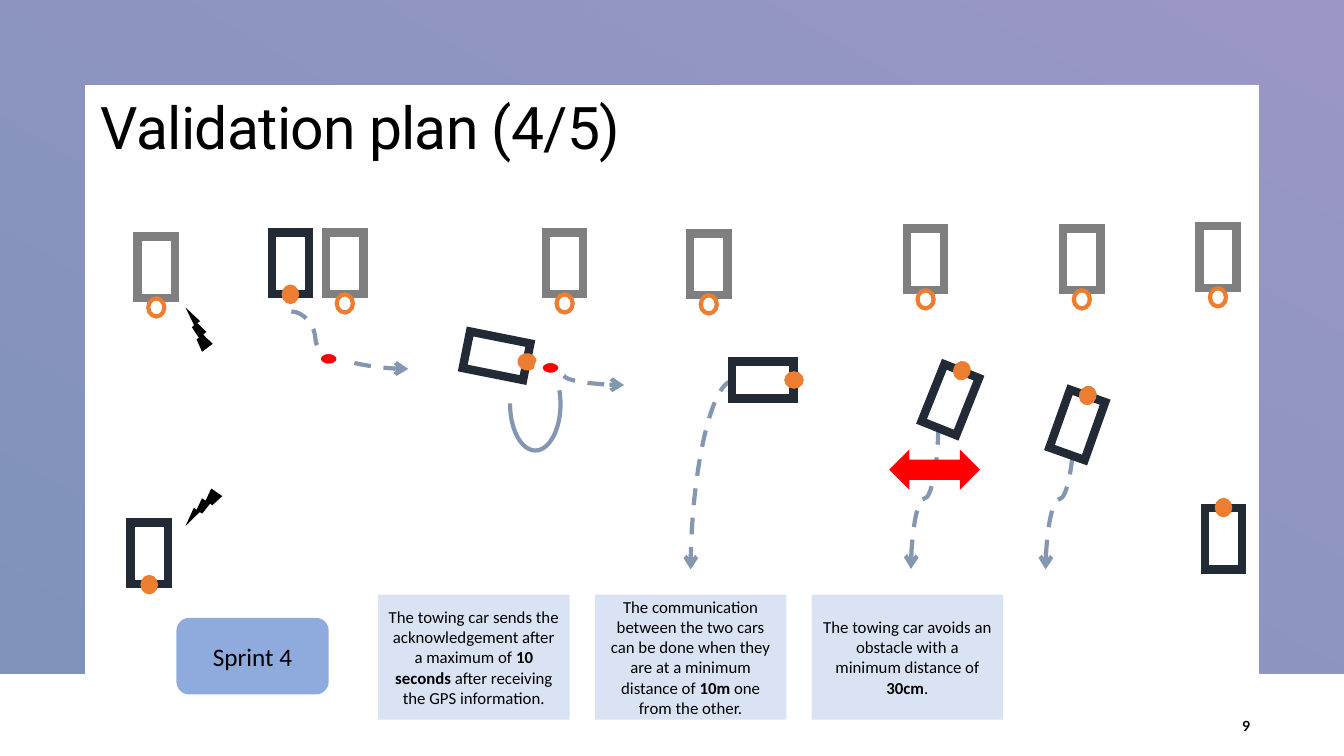
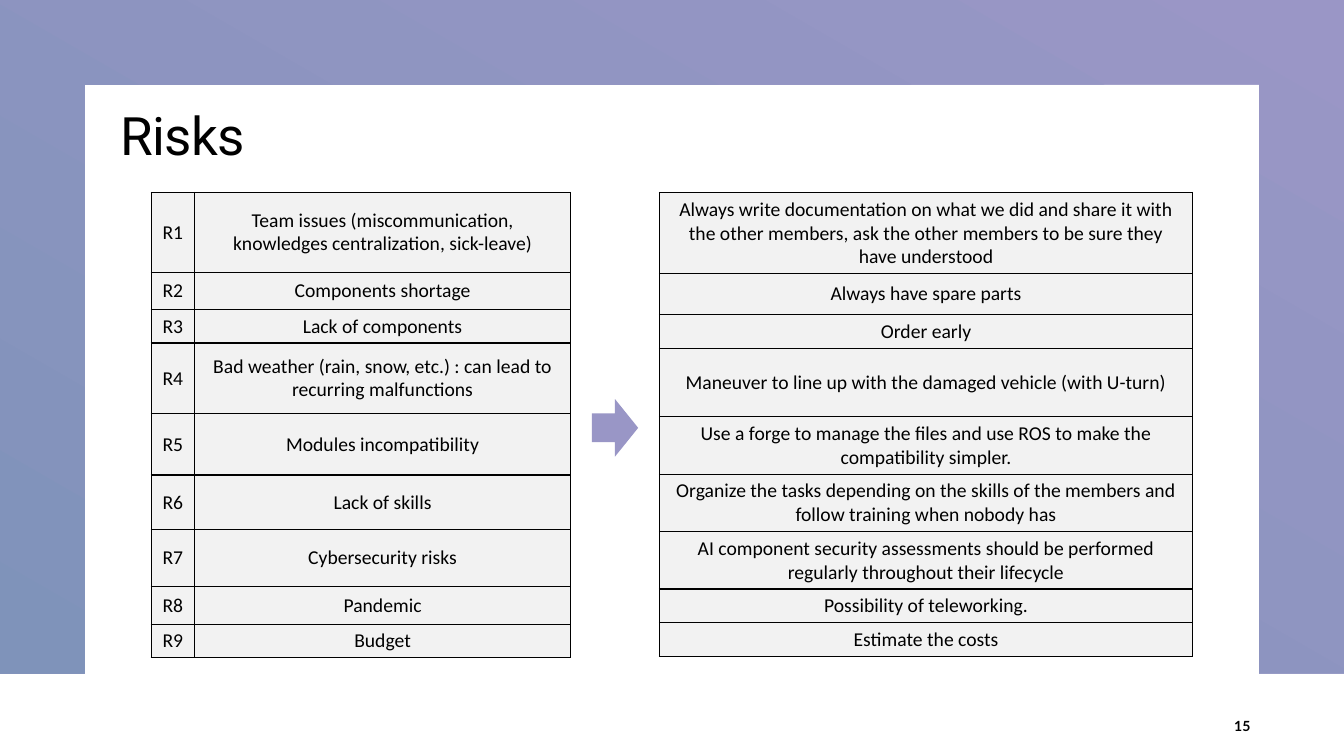
"""Builds a validation plan slide and a risk slide on one framed layout."""
from math import cos, radians, sin

from lxml.etree import SubElement
from pptx import Presentation
from pptx.dml.color import RGBColor as RGB
from pptx.enum.dml import MSO_LINE
from pptx.enum.shapes import MSO_CONNECTOR as LINK, MSO_SHAPE as FORM
from pptx.enum.text import MSO_ANCHOR as ANCHOR, MSO_AUTO_SIZE as FIT, PP_ALIGN as ALIGN
from pptx.oxml.ns import qn
from pptx.util import Inches, Pt

BLACK = RGB(0x00, 0x00, 0x00)
WHITE = RGB(0xFF, 0xFF, 0xFF)
RED = RGB(0xFF, 0x00, 0x00)
ORANGE = RGB(0xED, 0x7D, 0x31)
GREY = RGB(0x7F, 0x7F, 0x7F)
NAVY = RGB(0x22, 0x2A, 0x35)
STEEL = RGB(0x84, 0x97, 0xB0)
BLUE = RGB(0x8F, 0xAA, 0xDC)
PALE = RGB(0xDA, 0xE3, 0xF3)
LIGHT = RGB(0xF2, 0xF2, 0xF2)
LILAC = RGB(0x99, 0x96, 0xC6)
TOP = RGB(0x9A, 0x96, 0xC6)
BASE = RGB(0x7F, 0x93, 0xBA)

deck = Presentation()
deck.slide_width, deck.slide_height = Inches(13.33), Inches(7.5)
CELL = deck.slide_height / 75
COLS = deck.slide_width / CELL


def draw(slide, form, x, y, w, h, fill=None, line=None, width=1, turn=0):
    """Add a flat shape, placed in grid cells."""
    shape = slide.shapes.add_shape(form, *[round(v * CELL) for v in (x, y, w, h)])
    shape.shadow.inherit = False
    shape.rotation = turn
    if fill is None:
        shape.fill.background()
    else:
        shape.fill.solid()
        shape.fill.fore_color.rgb = fill
    if line is None:
        shape.line.fill.background()
    else:
        shape.line.color.rgb = line
        shape.line.width = Pt(width)
        SubElement(shape.line._get_or_add_ln(), qn("a:miter"), lim="800000")
    return shape


def style(par, size, face="Calibri", align=ALIGN.CENTER):
    """Set the font and alignment of a paragraph."""
    par.alignment = align
    par.font.size, par.font.name = Pt(size), face
    par.font.color.rgb = BLACK


layout = deck.slide_layouts[5]
pages = []
for name, size, box, number in [
    ("Validation plan (4/5)", 42, (9, 9, 100, 14.7), "9"),
    ("Risks", 37.8, (11, 10.1, 21.1, 7.3), "15"),
]:
    slide = deck.slides.add_slide(layout)
    title = slide.shapes.title
    title.left, title.top, title.width, title.height = [round(v * CELL) for v in box]
    frame = title.text_frame
    frame.text = name
    frame.auto_size, frame.vertical_anchor = FIT.NONE, ANCHOR.TOP
    par = frame.paragraphs[0]
    par.line_spacing = 0.95
    style(par, size, "Roboto", ALIGN.LEFT)
    par.font._rPr.set("spc", "-50")

    foot = slide.shapes.add_textbox(*[round(v * CELL) for v in (119.2, 70, 5.8, 4)])
    frame = foot.text_frame
    frame.text = number
    frame.word_wrap, frame.vertical_anchor = True, ANCHOR.MIDDLE
    style(frame.paragraphs[0], 10, "Lato", ALIGN.RIGHT)
    frame.paragraphs[0].font.bold = True
    pages.append(slide)
plan, risk = pages

EDGE, DEPTH = 8.4, 66.8
points = [(COLS, 0), (COLS, DEPTH), (COLS - EDGE, DEPTH), (COLS - EDGE, EDGE),
          (EDGE, EDGE), (EDGE, DEPTH), (0, DEPTH)]
path = plan.shapes.build_freeform(0, 0)
path.add_line_segments([(round(x * CELL), round(y * CELL)) for x, y in points])
band = path.convert_to_shape()
band.shadow.inherit = False
band.line.fill.background()
band.fill.gradient()
band.fill.gradient_angle = 240
for stop, tone, place in zip(band.fill.gradient_stops, (TOP, BASE), (0, 1)):
    stop.color.rgb, stop.position = tone, place
layout.shapes._spTree.insert(2, band._element)

curves = [
    ("curvedConnector3", 49.9, 36.2, 61.9, 38.2, 0, 50),
    ("curvedConnector3", 28.9, 30.9, 40.5, 36.6, 0, 20.7),
    ("curvedConnector2", 68.5, 56.5, 72.7, 37.8, 180, None),
    ("curvedConnector3", 84.7, 48.1, 98.7, 50.8, 90, 50),
    ("curvedConnector3", 98.1, 48.1, 112.1, 50.9, 90, 50),
]
for kind, *ends, turn, bend in curves:
    link = plan.shapes.add_connector(LINK.CURVE, *[round(v * CELL) for v in ends])
    link.line.color.rgb, link.line.width = STEEL, Pt(3)
    link.line.dash_style = MSO_LINE.DASH
    SubElement(link.line._get_or_add_ln(), qn("a:tailEnd"), type="arrow")
    props = link._element.spPr
    SubElement(props, qn("a:effectLst"))
    props.find(qn("a:xfrm")).set("rot", str(turn * 60000))
    geom = props.find(qn("a:prstGeom"))
    geom.set("prst", kind)
    if bend:
        SubElement(geom.find(qn("a:avLst")), qn("a:gd"),
                   name="adj1", fmla=f"val {round(bend * 1000)}")

parked = [(15.5, 26.5), (34.2, 26.1), (56, 26.1), (70.3, 26.2),
          (91.8, 25.7), (107.3, 25.7), (120.8, 25.5)]
towing = [(14.8, 54.9, 90), (28.8, 26.1, 90), (49.25, 35.3, 11.3), (75.65, 37.7, 0),
          (94.25, 39.65, 291.8), (106.85, 42.15, 289.6), (121.35, 53.45, 270)]
cars = [(x, y, 90, GREY, 4, WHITE, 3) for x, y in parked]
cars += [(x, y, turn, NAVY, 3.1, ORANGE, 1) for x, y, turn in towing]
for x, y, turn, tone, reach, fill, width in cars:
    draw(plan, FORM.RECTANGLE, x - 3.05, y - 1.85, 6.1, 3.7, WHITE, tone, 6, turn)
    hx, hy = x + reach * cos(radians(turn)), y + reach * sin(radians(turn))
    draw(plan, FORM.OVAL, hx - 0.9, hy - 0.8, 1.8, 1.6, fill, ORANGE, width, turn)

for x, y in [(53.4, 35.6), (31.4, 34.7)]:
    draw(plan, FORM.OVAL, x, y, 2.4, 1.8, RED, WHITE, 6)
for x, y, turn in [(18.4, 30.5, 180), (18.7, 48, 71.3)]:
    draw(plan, FORM.LIGHTNING_BOLT, x, y, 2.7, 4.4, BLACK, turn=turn)
loop = draw(plan, FORM.ARC, 50.6, 35.5, 5, 9.2, None, STEEL, 3)
for i, angle in enumerate((330, 182)):
    loop.adjustments[i] = angle * 0.6
draw(plan, FORM.LEFT_RIGHT_ARROW, 88.2, 44.6, 9, 4, RED)

sprint = draw(plan, FORM.ROUNDED_RECTANGLE, 17.5, 61.3, 15.1, 7.6, BLUE)
sprint.text_frame.text = "Sprint 4"
sprint.text_frame.vertical_anchor = ANCHOR.MIDDLE
style(sprint.text_frame.paragraphs[0], 18)

notes = [
    ("The towing car sends the acknowledgement after a maximum of ",
     "10 seconds", " after receiving the GPS information."),
    ("The communication between the two cars can be done when they are "
     "at a minimum distance of ", "10m", " one from the other."),
    ("The towing car avoids an obstacle with a minimum distance of ", "30cm", "."),
]
for i, parts in enumerate(notes):
    note = draw(plan, FORM.RECTANGLE, 37.5 + 21.5 * i, 59, 19, 12.4, PALE)
    note.text_frame.word_wrap = True
    note.text_frame.vertical_anchor = ANCHOR.MIDDLE
    par = note.text_frame.paragraphs[0]
    style(par, 12)
    for part in parts:
        run = par.add_run()
        run.text = part
        run.font.bold = part == parts[1]

risks = [
    "Team issues (miscommunication, knowledges centralization, sick-leave)",
    "Components shortage",
    "Lack of components",
    "Bad weather (rain, snow, etc.) : can lead to recurring malfunctions",
    "Modules incompatibility",
    "Lack of skills",
    "Cybersecurity risks",
    "Pandemic",
    "Budget",
]
cures = [
    "Always write documentation on what we did and share it with the other members, "
    "ask the other members to be sure they have understood",
    "Always have spare parts",
    "Order early",
    "Maneuver to line up with the damaged vehicle (with U-turn)",
    "Use a forge to manage the files and use ROS to make the compatibility simpler.",
    "Organize the tasks depending on the skills of the members "
    "and follow training when nobody has",
    "AI component security assessments should be performed regularly "
    "throughout their lifecycle",
    "Possibility of teleworking.",
    "Estimate the costs",
]
grids = [
    (15, (4.3, 37.3), (7.9, 3.7, 2.9, 7, 6.1, 5.4, 5.7, 3.7, 2.9),
     [(f"R{i}", text) for i, text in enumerate(risks, 1)]),
    (65.4, (52.9,), (8, 4.1, 3.3, 6.8, 5.7, 5.7, 5.7, 3.3, 3.3),
     [(text,) for text in cures]),
]
for left, widths, heights, rows in grids:
    box = (left, 19.1, sum(widths), sum(heights))
    table = risk.shapes.add_table(len(rows), len(widths),
                                  *[round(v * CELL) for v in box]).table
    table.first_row = table.horz_banding = False
    for col, width in zip(table.columns, widths):
        col.width = round(width * CELL)
    for row, height, texts in zip(table.rows, heights, rows):
        row.height = round(height * CELL)
        for cell, text in zip(row.cells, texts):
            cell.text = text
            cell.vertical_anchor = ANCHOR.MIDDLE
            style(cell.text_frame.paragraphs[0], 14)
            for side in ("lnL", "lnR", "lnT", "lnB"):
                rule = SubElement(cell._tc.get_or_add_tcPr(), qn(f"a:{side}"),
                                  w=str(Pt(1)))
                SubElement(SubElement(rule, qn("a:solidFill")), qn("a:srgbClr"),
                           val=str(BLACK))
            cell.fill.solid()
            cell.fill.fore_color.rgb = LIGHT

draw(risk, FORM.RIGHT_ARROW, 58.7, 39.6, 4.6, 5.7, LILAC)

deck.save("out.pptx")
